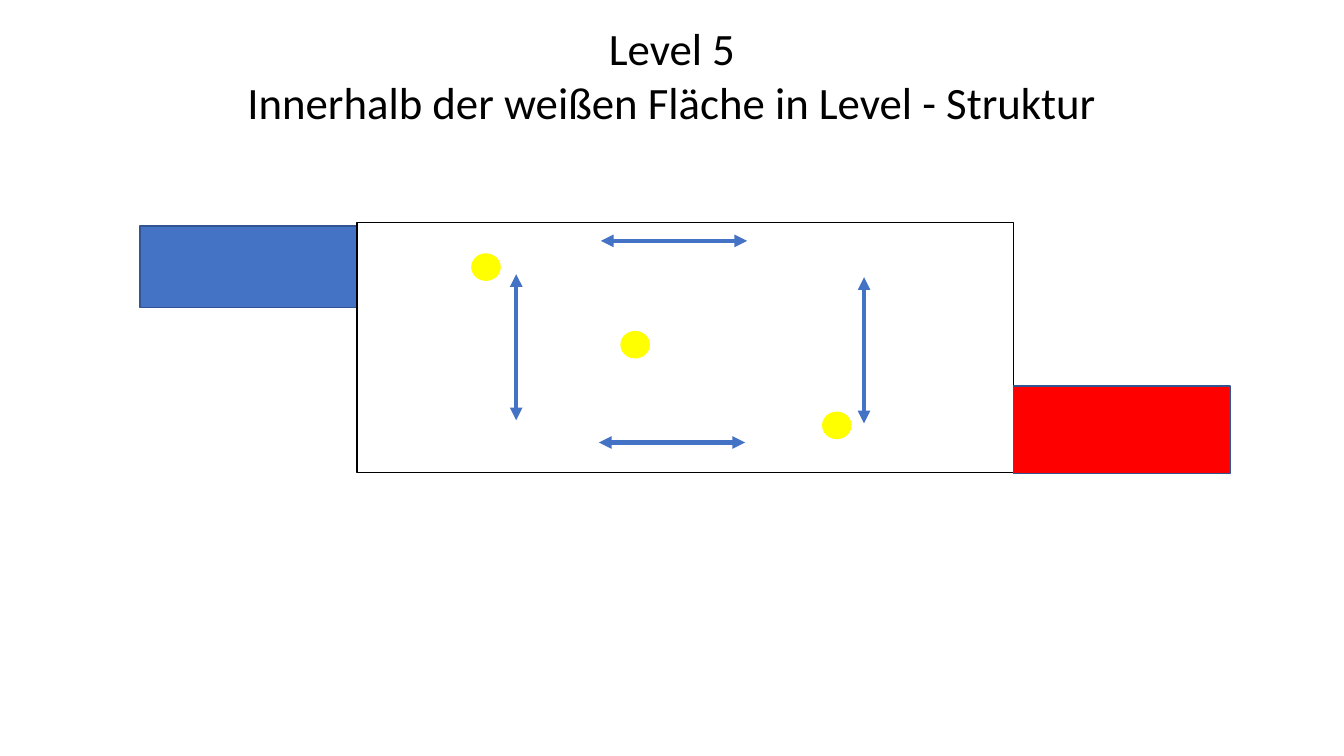
from dataclasses import dataclass

from lxml.etree import SubElement
from pptx import Presentation
from pptx.dml.color import RGBColor
from pptx.enum.shapes import MSO_CONNECTOR as Connector, MSO_SHAPE as Shape
from pptx.enum.text import MSO_ANCHOR as Anchor, MSO_AUTO_SIZE as AutoSize, PP_ALIGN as Align
from pptx.oxml.ns import qn
from pptx.util import Inches, Pt


@dataclass(frozen=True)
class Theme:
    font: str = "Calibri"
    title_size: int = 32
    text: str = "000000"
    field: str = "FFFFFF"
    field_line: str = "000000"
    start: str = "4472C4"
    goal: str = "FF0000"
    zone_line: str = "325491"
    coin: str = "FFFF00"
    arrow: str = "4472C4"
    outline_width: int = 1
    arrow_width: int = 3


THEME = Theme()
TITLE_LINES = ["Level 5", "Innerhalb der weißen Fläche in Level - Struktur"]
ZONE_WIDTH = 2.15
COIN_WIDTH, COIN_HEIGHT = 0.28, 0.26
ARROW_LENGTH = 1.45
COINS = [(1.14, 0.31), (2.62, 1.08), (4.62, 1.88)]
HORIZONTAL_ARROWS = [(2.42, 0.18), (2.4, 2.18)]
VERTICAL_ARROWS = [(1.58, 0.51), (5.03, 0.54)]


def add_filled(slide, kind, left, top, width, height, fill, line):
    shape = slide.shapes.add_shape(kind, Inches(left), Inches(top), Inches(width), Inches(height))
    shape.shadow.inherit = False
    shape.fill.solid()
    shape.fill.fore_color.rgb = RGBColor.from_string(fill)
    shape.line.color.rgb = RGBColor.from_string(line)
    shape.line.width = Pt(THEME.outline_width)


def add_double_arrow(slide, left, top, width, height):
    arrow = slide.shapes.add_connector(
        Connector.STRAIGHT, Inches(left), Inches(top), Inches(left + width), Inches(top + height))
    arrow.line.color.rgb = RGBColor.from_string(THEME.arrow)
    arrow.line.width = Pt(THEME.arrow_width)
    line = arrow.line._get_or_add_ln()
    for end in ("a:headEnd", "a:tailEnd"):
        SubElement(line, qn(end), type="triangle")
    SubElement(arrow._element.spPr, qn("a:effectLst"))


def add_title(slide, left, top, width, height):
    title = slide.shapes.title
    title.left, title.top = Inches(left), Inches(top)
    title.width, title.height = Inches(width), Inches(height)
    frame = title.text_frame
    frame.word_wrap = True
    frame.auto_size = AutoSize.NONE
    frame.vertical_anchor = Anchor.TOP
    for index, line in enumerate(TITLE_LINES):
        paragraph = frame.add_paragraph() if index else frame.paragraphs[0]
        paragraph.alignment = Align.CENTER
        run = paragraph.add_run()
        run.text = line
        run.font.name = THEME.font
        run.font.size = Pt(THEME.title_size)
        run.font.color.rgb = RGBColor.from_string(THEME.text)


def add_level(slide, left, top, width, height):
    field_left = left + ZONE_WIDTH
    field_width = width - 2 * ZONE_WIDTH
    goal_height = 0.87
    add_filled(slide, Shape.RECTANGLE, left, top + 0.03, ZONE_WIDTH, 0.81,
               THEME.start, THEME.zone_line)
    add_filled(slide, Shape.RECTANGLE, field_left, top, field_width, height,
               THEME.field, THEME.field_line)
    add_filled(slide, Shape.RECTANGLE, field_left + field_width, top + height - goal_height + 0.01,
               ZONE_WIDTH, goal_height, THEME.goal, THEME.zone_line)
    for x, y in COINS:
        add_filled(slide, Shape.OVAL, field_left + x, top + y, COIN_WIDTH, COIN_HEIGHT,
                   THEME.coin, THEME.coin)
    for x, y in HORIZONTAL_ARROWS:
        add_double_arrow(slide, field_left + x, top + y, ARROW_LENGTH, 0)
    for x, y in VERTICAL_ARROWS:
        add_double_arrow(slide, field_left + x, top + y, 0, ARROW_LENGTH)


def main():
    presentation = Presentation()
    presentation.slide_width = Inches(13.33)
    presentation.slide_height = Inches(7.5)
    slide = presentation.slides.add_slide(presentation.slide_layouts.get_by_name("Title Only"))
    add_title(slide, 0, 0.16, 13.33, 1.18)
    add_level(slide, 1.39, 2.21, 10.81, 2.48)
    presentation.save("out.pptx")


if __name__ == "__main__":
    main()
